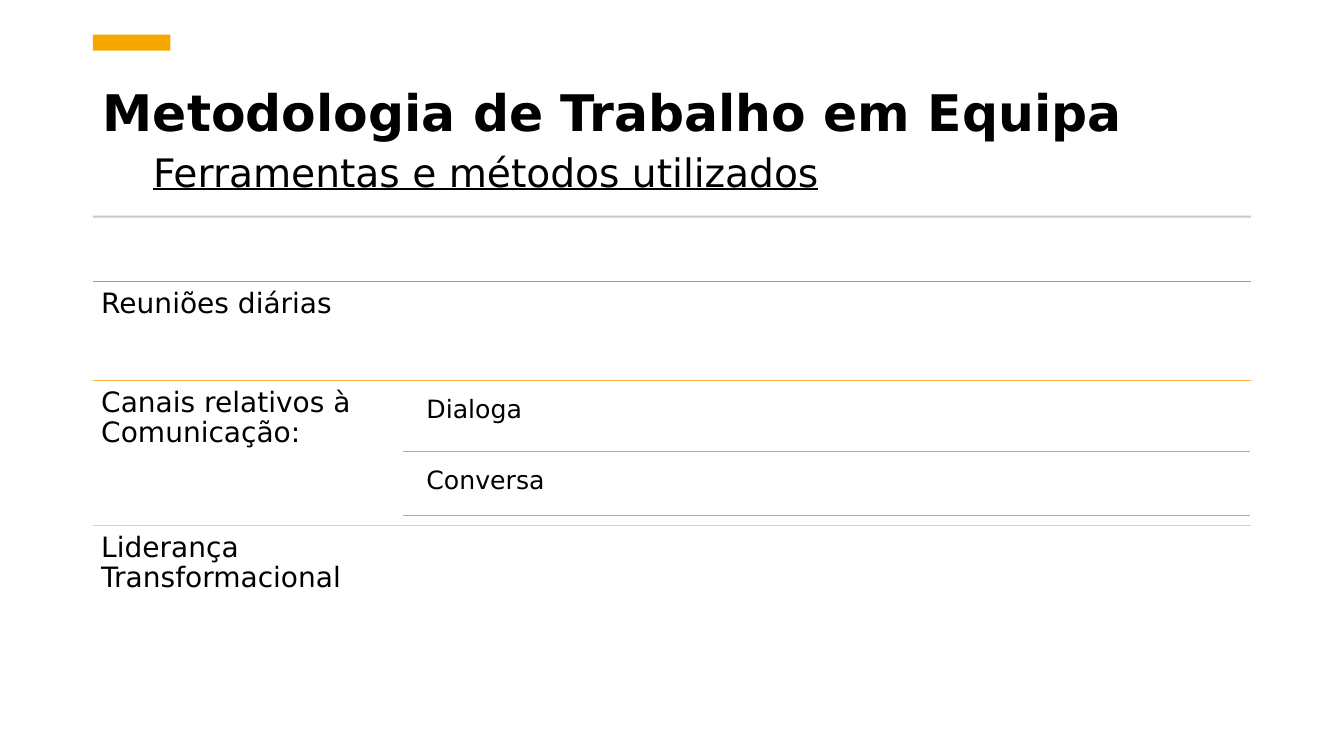
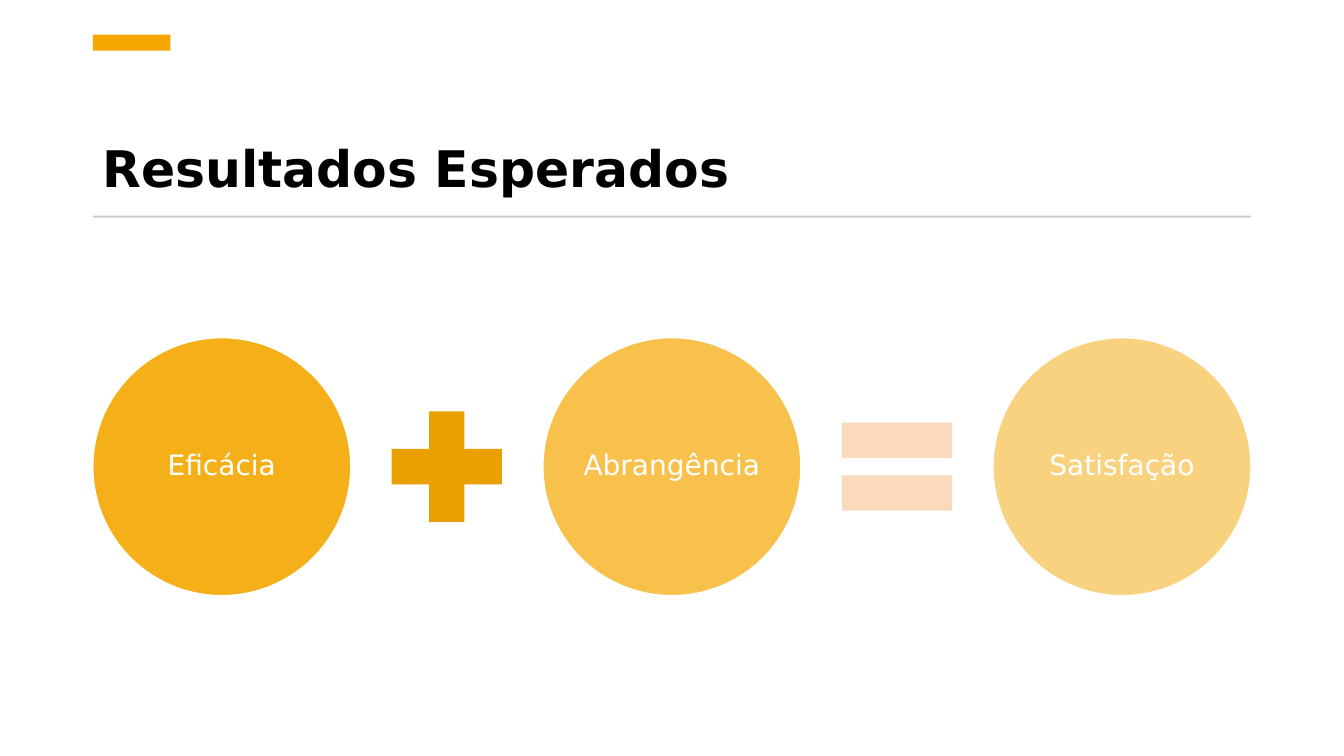
from collections import namedtuple

from lxml import etree
from pptx import Presentation
from pptx.dml.color import RGBColor
from pptx.enum.shapes import MSO_CONNECTOR, MSO_SHAPE
from pptx.enum.text import MSO_ANCHOR, PP_ALIGN
from pptx.oxml.ns import qn
from pptx.util import Pt

RECTANGLE, OVAL = MSO_SHAPE.RECTANGLE, MSO_SHAPE.OVAL
PLUS, EQUAL = MSO_SHAPE.MATH_PLUS, MSO_SHAPE.MATH_EQUAL
STRAIGHT = MSO_CONNECTOR.STRAIGHT
TOP, MIDDLE, BOTTOM = MSO_ANCHOR.TOP, MSO_ANCHOR.MIDDLE, MSO_ANCHOR.BOTTOM
LEFT, CENTER = PP_ALIGN.LEFT, PP_ALIGN.CENTER

Box = namedtuple("Box", "left top width height")

FONT = "DejaVu Sans"
COLORS = {
    "black": "000000",
    "white": "FFFFFF",
    "amber": "F5A700",
    "rule": "C9C9C9",
    "first_line": "DE9800",
    "second_line": "F9AD3D",
    "third_line": "F8C795",
    "plus": "EAA000",
    "equal": "FAD9BC",
}
TITLE_BOX = Box(66.3, 54, 827.3, 91.4)
ACCENT_BOX = Box(66.3, 24.7, 55.4, 11.5)
RULE_BOX = Box(66.3, 154.1, 827.3, 1.4)
TOPICS_BOX = Box(66.3, 200.9, 827.3, 258.4)
EQUATION_BOX = Box(66.3, 241.2, 827.3, 184.3)
TITLE = {"size": Pt(36), "bold": True}
TAB = {"size": Pt(37), "bold": True}
SUBTITLE = {"size": Pt(28), "underline": True}
TOPIC = {"size": Pt(20)}
CHANNEL = {"size": Pt(18)}


def rgb(name):
    """Return the named palette colour."""
    return RGBColor.from_string(COLORS[name])


def in_points(box):
    """Convert a box to lengths."""
    return [Pt(value) for value in box]


def write(shape, pieces, color="black", anchor=TOP, align=LEFT, insets=(6, 6)):
    """Write formatted pieces as one paragraph; a line feed breaks the line."""
    frame = shape.text_frame
    across, down = map(Pt, insets)
    settings = {
        "word_wrap": True,
        "vertical_anchor": anchor,
        "margin_left": across,
        "margin_right": across,
        "margin_top": down,
        "margin_bottom": down,
    }
    for name, value in settings.items():
        setattr(frame, name, value)
    para = frame.paragraphs[0]
    para.alignment = align
    para.line_spacing = 0.9
    for text, style in pieces:
        if text == "\n":
            para.add_line_break()
            continue
        span = para.add_run()
        span.text = text
        span.font.color.rgb = rgb(color)
        for name, value in {"name": FONT, **style}.items():
            setattr(span.font, name, value)


def add_text(page, box, pieces, **layout):
    """Add a text box."""
    write(page.shapes.add_textbox(*in_points(box)), pieces, **layout)


def add_figure(page, kind, box, color, opacity=100):
    """Add a flat filled shape without an outline."""
    shape = page.shapes.add_shape(kind, *in_points(box))
    shape.shadow.inherit = False
    shape.fill.solid()
    shape.fill.fore_color.rgb = rgb(color)
    shape.line.fill.background()
    if opacity < 100:
        fill = next(shape.fill._xPr.iter(qn("a:srgbClr")))
        etree.SubElement(fill, qn("a:alpha"), val=str(opacity * 1000))
    return shape


def add_divider(page, left, top, width, color):
    """Add a thin horizontal line."""
    ends = in_points((left, top, left + width, top))
    line = page.shapes.add_connector(STRAIGHT, *ends)
    line.line.color.rgb = rgb(color)
    line.line.width = Pt(0.5)
    etree.SubElement(line._element.spPr, qn("a:effectLst"))


def add_page(deck, title):
    """Add a slide with the shared title, accent and rule."""
    page = deck.slides.add_slide(deck.slide_layouts[6])
    add_text(page, TITLE_BOX, title, anchor=BOTTOM, insets=(7.2, 3.6))
    add_figure(page, RECTANGLE, ACCENT_BOX, "amber")
    add_figure(page, RECTANGLE, RULE_BOX, "rule")
    return page


def add_channels(page, box, channels):
    """Place the channels of a topic, each closed by a line."""
    for name, offset, height in channels:
        top = box.top + offset
        label = Box(box.left + 11.5, top, box.width - 11.5, height)
        add_text(page, label, [(name, CHANNEL)], insets=(5, 5))
        add_divider(page, box.left, top + height, box.width, "amber")


def add_topics(page, box, topics):
    """Stack topics, each opened by a line."""
    top = box.top
    for name, height, color, channels in topics:
        add_divider(page, box.left, top, box.width, color)
        label = Box(box.left, top, 221.8, height)
        add_text(page, label, [(name, TOPIC)])
        add_channels(page, Box(box.left + 221.8, top, box.width - 222.4, height), channels)
        top += height


def add_equation(page, box, terms, signs):
    """Spread circles over the box and centre a sign in each gap."""
    size, sign_size = box.height, 107.2
    pitch = (box.width - size) / (len(terms) - 1)
    for index, (name, opacity) in enumerate(terms):
        place = Box(box.left + index * pitch, box.top, size, size)
        circle = add_figure(page, OVAL, place, "amber", opacity)
        circle.line.color.rgb = rgb("white")
        circle.line.width = Pt(1)
        write(circle, [(name, TOPIC)], "white", MIDDLE, CENTER, (2, 2))
    for index, (kind, color) in enumerate(signs):
        left = box.left + index * pitch + (pitch + size - sign_size) / 2
        top = box.top + (size - sign_size) / 2
        add_figure(page, kind, Box(left, top, sign_size, sign_size), color)


def main():
    """Build and save the deck."""
    deck = Presentation()
    deck.slide_width, deck.slide_height = Pt(960), Pt(540)

    page = add_page(deck, [
        ("Metodologia de Trabalho em Equipa", TITLE),
        ("\n", {}),
        ("\t", TAB),
        ("Ferramentas e métodos utilizados", SUBTITLE),
    ])
    add_topics(page, TOPICS_BOX, [
        ("Reuniões diárias", 70.5, "first_line", []),
        ("Canais relativos à Comunicação:", 103.7, "second_line",
         [("Dialoga", 7.2, 43.9), ("Conversa", 57.6, 38.9)]),
        ("Liderança Transformacional", 84.2, "third_line", []),
    ])

    page = add_page(deck, [("Resultados Esperados", TITLE)])
    add_equation(
        page, EQUATION_BOX,
        [("Eficácia", 90), ("Abrangência", 70), ("Satisfação", 50)],
        [(PLUS, "plus"), (EQUAL, "equal")],
    )
    deck.save("out.pptx")


if __name__ == "__main__":
    main()
